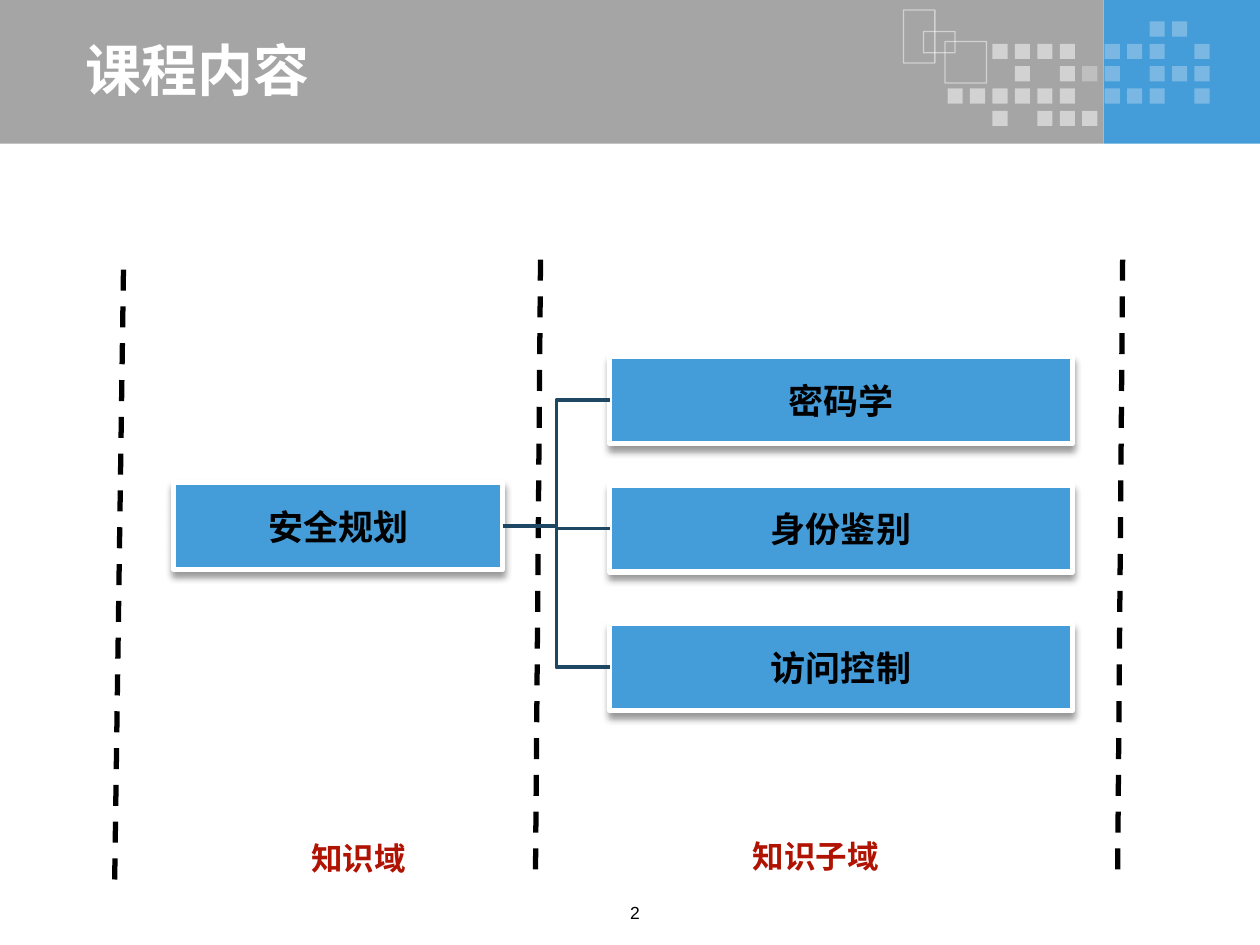
"""Build the course outline slide: one knowledge domain and its sub-domains."""
from lxml import etree
from pptx import Presentation, util as u
from pptx.dml.color import RGBColor
from pptx.enum import dml, shapes, text
from pptx.oxml.ns import qn

BLUE, GREY, NAVY, RED = "449CD8", "A5A5A5", "1E4763", "B01302"
WHITE, BLACK = "FFFFFF", "000000"
CJK_FONT = "Noto Sans CJK SC"
MOSAIC = (
    ".........++.",
    "..####.+++.+",
    "...#.#++.+++",
    "######.+++.+",
    "..#.###.....",
)
MOSAIC_ALPHA = {"#": 50, "+": 29}
FRAMES = ((7.17, 0.08, 0.25, 0.42), (7.33, 0.25, 0.25, 0.17), (7.5, 0.33, 0.33, 0.33))
DIVIDERS = ((0.98, 2.14, 0.91, 7), (4.29, 2.06, 4.25, 6.92), (8.91, 2.06, 8.87, 7))
TOPICS = (("密码学", 2.83), ("身份鉴别", 3.85), ("访问控制", 4.95))


def color(hex_string):
    """Turn a hex string into a colour."""
    return RGBColor.from_string(hex_string)


def inches(values):
    """Turn plain numbers into lengths."""
    return [u.Inches(value) for value in values]


def set_values(target, values):
    """Set each named attribute of an object."""
    for name, value in values.items():
        setattr(target, name, value)


def set_alpha(shape, percent):
    """Make every colour of a shape partly transparent."""
    for node in shape._element.spPr.iter(qn("a:srgbClr")):
        etree.SubElement(node, qn("a:alpha"), val=str(percent * 1000))


def add_rectangle(page, place, fill=None, line=None, width=0.75, alpha=None):
    """Add a flat rectangle."""
    box = page.shapes.add_shape(shapes.MSO_SHAPE.RECTANGLE, *inches(place))
    box.shadow.inherit = False
    if fill:
        box.fill.solid()
        box.fill.fore_color.rgb = color(fill)
    else:
        box.fill.background()
    if line:
        box.line.color.rgb = color(line)
        box.line.width = u.Pt(width)
    else:
        box.line.fill.background()
    if alpha:
        set_alpha(box, alpha)
    return box


def write(box, wording, size, hex_string, font="Arial", bold=True,
          align=text.PP_ALIGN.CENTER, anchor=text.MSO_ANCHOR.TOP, wrap=True):
    """Write one formatted paragraph into a box."""
    set_values(box.text_frame, {"word_wrap": wrap, "vertical_anchor": anchor})
    para = box.text_frame.paragraphs[0]
    para.alignment = align
    span = para.add_run()
    span.text = wording
    set_values(span.font, {"name": font, "size": u.Pt(size), "bold": bold})
    span.font.color.rgb = color(hex_string)
    etree.SubElement(span.font._element, qn("a:ea"), typeface=CJK_FONT)


def add_label(page, place, wording, size, hex_string, **options):
    """Add a text box with one line."""
    write(page.shapes.add_textbox(*inches(place)), wording, size, hex_string, **options)


def add_card(page, place, wording):
    """Add a white-edged blue card with a soft shadow below it."""
    card = add_rectangle(page, place, BLUE, WHITE, 3)
    effects = card._element.spPr.find(qn("a:effectLst"))
    shadow = etree.SubElement(effects, qn("a:outerShdw"), blurRad=str(u.Pt(4)),
                              dist=str(u.Pt(3)), dir="5400000", rotWithShape="0")
    tone = etree.SubElement(shadow, qn("a:srgbClr"), val=BLACK)
    etree.SubElement(tone, qn("a:alpha"), val="40000")
    write(card, wording, 20, BLACK, anchor=text.MSO_ANCHOR.MIDDLE, wrap=False)
    return card


def add_line(page, kind, ends, hex_string, width):
    """Add a connector without a shadow."""
    line = page.shapes.add_connector(kind, *inches(ends))
    line.line.color.rgb = color(hex_string)
    line.line.width = u.Pt(width)
    etree.SubElement(line._element.spPr, qn("a:effectLst"))
    return line


def add_header(page):
    """Add the banner with its mosaic, frames and title."""
    add_rectangle(page, (8.76, 0, 1.24, 1.14), BLUE)
    add_rectangle(page, (0, 0, 8.76, 1.14), GREY)
    for row, marks in enumerate(MOSAIC):
        for column, mark in enumerate(marks):
            if mark in MOSAIC_ALPHA:
                place = (7.52 + 1.96 * column / 11, 0.17 + 0.71 * row / 4, 0.12, 0.12)
                add_rectangle(page, place, WHITE, alpha=MOSAIC_ALPHA[mark])
    for frame in FRAMES:
        add_rectangle(page, frame, line=WHITE, alpha=50)
    add_label(page, (0.58, 0.28, 7.76, 0.53), "课程内容", 32, WHITE, font=CJK_FONT,
              align=text.PP_ALIGN.LEFT, anchor=text.MSO_ANCHOR.MIDDLE)


def add_outline(page):
    """Add the domain card, its sub-domain cards and the links."""
    domain = add_card(page, (1.38, 3.83, 2.61, 0.69), "安全规划")
    for ends in DIVIDERS:
        divider = add_line(page, shapes.MSO_CONNECTOR.STRAIGHT, ends, BLACK, 3)
        divider.line.dash_style = dml.MSO_LINE.DASH
    for wording, top in TOPICS:
        topic = add_card(page, (4.84, top, 3.67, 0.69), wording)
        ends = (3.99, 4.18, 4.84, top + 0.34)
        link = add_line(page, shapes.MSO_CONNECTOR.ELBOW, ends, NAVY, 2)
        link.begin_connect(domain, 3)
        link.end_connect(topic, 1)


def main():
    """Build and save the deck."""
    deck = Presentation()
    set_values(deck, {"slide_width": u.Inches(10), "slide_height": u.Inches(7.5)})
    page = deck.slides.add_slide(deck.slide_layouts[6])
    add_header(page)
    add_outline(page)
    add_label(page, (2.25, 6.61, 1.19, 0.4), "知识域", 18, RED)
    add_label(page, (5.53, 6.59, 1.89, 0.4), "知识子域", 18, RED)
    add_label(page, (4.58, 7.11, 0.92, 0.29), "2", 10, BLACK, bold=False)
    deck.save("out.pptx")


if __name__ == "__main__":
    main()
